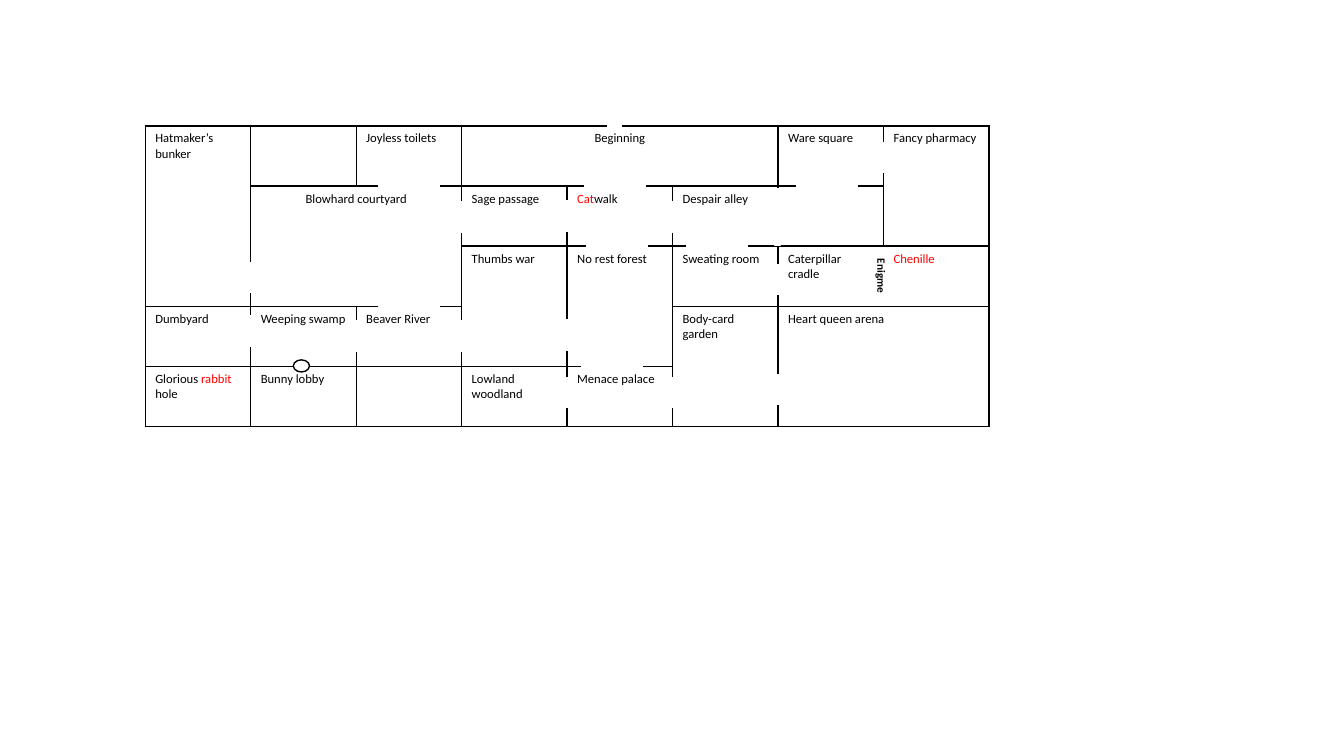
from dataclasses import dataclass

from lxml.etree import SubElement
from pptx import Presentation
from pptx.dml.color import RGBColor
from pptx.enum.shapes import MSO_SHAPE
from pptx.enum.text import MSO_ANCHOR, PP_ALIGN
from pptx.oxml.ns import qn
from pptx.util import Inches, Pt


@dataclass(frozen=True)
class Theme:
    font: str = "Calibri"
    ink: RGBColor = RGBColor(0, 0, 0)
    accent: RGBColor = RGBColor(255, 0, 0)
    paper: RGBColor = RGBColor(255, 255, 255)
    room_size: int = 9
    label_size: int = 8
    line_width: int = 1


@dataclass(frozen=True)
class Box:
    left: float
    top: float
    width: float
    height: float


@dataclass(frozen=True)
class Room:
    row: int
    column: int
    runs: tuple
    rows: int = 1
    columns: int = 1
    align: PP_ALIGN = PP_ALIGN.LEFT


THEME = Theme()
MAP_BOX = Box(1.44, 1.25, 8.37, 2.98)
ROW_COUNT, COLUMN_COUNT = 5, 8

ROOMS = [
    Room(0, 0, ("Hatmaker’s bunker",), rows=3),
    Room(0, 2, ("Joyless toilets",)),
    Room(0, 3, ("Beginning",), columns=3, align=PP_ALIGN.CENTER),
    Room(0, 6, ("Ware square",)),
    Room(0, 7, ("Fancy pharmacy",), rows=2),
    Room(1, 1, ("Blowhard courtyard",), rows=2, columns=2, align=PP_ALIGN.CENTER),
    Room(1, 3, ("Sage passage",)),
    Room(1, 4, (("Cat", THEME.accent), "walk")),
    Room(1, 5, ("Despair alley",)),
    Room(2, 3, ("Thumbs war",), rows=2),
    Room(2, 4, ("No rest forest",), rows=2),
    Room(2, 5, ("Sweating room",)),
    Room(2, 6, ("Caterpillar cradle",)),
    Room(2, 7, (("Chenille", THEME.accent),)),
    Room(3, 0, ("Dumbyard",)),
    Room(3, 1, ("Weeping swamp",)),
    Room(3, 2, ("Beaver River",)),
    Room(3, 5, ("Body-card garden",), rows=2),
    Room(3, 6, ("Heart queen arena",), rows=2, columns=2),
    Room(4, 0, ("Glorious ", ("rabbit ", THEME.accent), "hole")),
    Room(4, 1, ("Bunny lobby",)),
    Room(4, 3, ("Lowland woodland",)),
    Room(4, 4, ("Menace palace",)),
]

WIDE_DOORS = [
    (4.36, 0.57), (4.38, 1.18), (2.32, 0.57), (5.37, 1.16),
    (2.32, 1.79), (4.33, 2.36), (6.46, 0.58),
]
SIDE_DOORS = [
    (4.03, 0.85), (0.88, 1.99), (5.12, 0.86), (6.13, 1.48), (1.95, 2.04),
    (0.88, 1.46), (3.0, 0.86), (4.06, 2.6), (5.07, 2.6), (6.14, 2.57),
    (4.0, 2.03), (2.97, 2.04), (7.17, 0.27),
]
ENTRANCE = Box(4.59, -0.02, 0.13, 0.05)
ALLEY_OPENING = Box(5.99, 0.88, 0.56, 0.05)
RIDDLE_DOOR = Box(7.02, 1.43, 0.57, 0.12)
RABBIT_HOLE = Box(1.47, 2.32, 0.16, 0.12)


def style_font(font, size, bold=False):
    font.name = THEME.font
    font.size = Pt(size)
    font.bold = bold
    font.color.rgb = THEME.ink


def style_cell(cell):
    properties = cell._tc.get_or_add_tcPr()
    for side in ("lnL", "lnR", "lnT", "lnB"):
        border = SubElement(properties, qn(f"a:{side}"), w=str(Pt(THEME.line_width)))
        fill = SubElement(border, qn("a:solidFill"))
        SubElement(fill, qn("a:srgbClr"), val=str(THEME.ink))
    cell.fill.solid()
    cell.fill.fore_color.rgb = THEME.paper
    style_font(cell.text_frame.paragraphs[0].font, THEME.room_size)


def fill_room(table, room):
    cell = table.cell(room.row, room.column)
    if room.rows > 1 or room.columns > 1:
        cell.merge(table.cell(room.row + room.rows - 1, room.column + room.columns - 1))
    paragraph = cell.text_frame.paragraphs[0]
    paragraph.alignment = room.align
    for part in room.runs:
        text, color = (part, THEME.ink) if isinstance(part, str) else part
        run = paragraph.add_run()
        run.text = text
        run.font.color.rgb = color


def add_rooms(slide, box):
    table = slide.shapes.add_table(
        ROW_COUNT, COLUMN_COUNT,
        Inches(box.left), Inches(box.top), Inches(box.width), Inches(box.height),
    ).table
    table.first_row = False
    table.horz_banding = False
    for row in table.rows:
        row.height = Inches(box.height / ROW_COUNT)
    for column in table.columns:
        column.width = Inches(box.width / COLUMN_COUNT)
    for cell in table.iter_cells():
        style_cell(cell)
    for room in ROOMS:
        fill_room(table, room)


def add_mark(slide, box, mark, rotation=0, kind=MSO_SHAPE.RECTANGLE, line=THEME.paper):
    shape = slide.shapes.add_shape(
        kind, Inches(box.left + mark.left), Inches(box.top + mark.top),
        Inches(mark.width), Inches(mark.height),
    )
    shape.rotation = rotation
    shape.shadow.inherit = False
    shape.fill.solid()
    shape.fill.fore_color.rgb = THEME.paper
    shape.line.color.rgb = line
    shape.line.width = Pt(THEME.line_width)
    return shape


def add_doors(slide, box):
    for left, top in WIDE_DOORS:
        add_mark(slide, box, Box(left, top, 0.6, 0.05))
    for left, top in SIDE_DOORS:
        add_mark(slide, box, Box(left, top, 0.3, 0.09), rotation=90)
    add_mark(slide, box, ENTRANCE)
    add_mark(slide, box, ALLEY_OPENING, rotation=90)
    add_mark(slide, box, RABBIT_HOLE, kind=MSO_SHAPE.OVAL, line=THEME.ink)


def add_riddle_door(slide, box):
    frame = add_mark(slide, box, RIDDLE_DOOR, rotation=90).text_frame
    frame.margin_left = frame.margin_right = frame.margin_top = frame.margin_bottom = 0
    frame.vertical_anchor = MSO_ANCHOR.MIDDLE
    paragraph = frame.paragraphs[0]
    paragraph.text = "Enigme"
    paragraph.alignment = PP_ALIGN.CENTER
    style_font(paragraph.font, THEME.label_size, bold=True)
    paragraph.runs[0].font.color.rgb = THEME.ink


def build_map_slide(presentation, box):
    slide = presentation.slides.add_slide(presentation.slide_layouts[6])
    add_rooms(slide, box)
    add_doors(slide, box)
    add_riddle_door(slide, box)


presentation = Presentation()
presentation.slide_width = Inches(13.33)
presentation.slide_height = Inches(7.5)
build_map_slide(presentation, MAP_BOX)
presentation.save("out.pptx")
